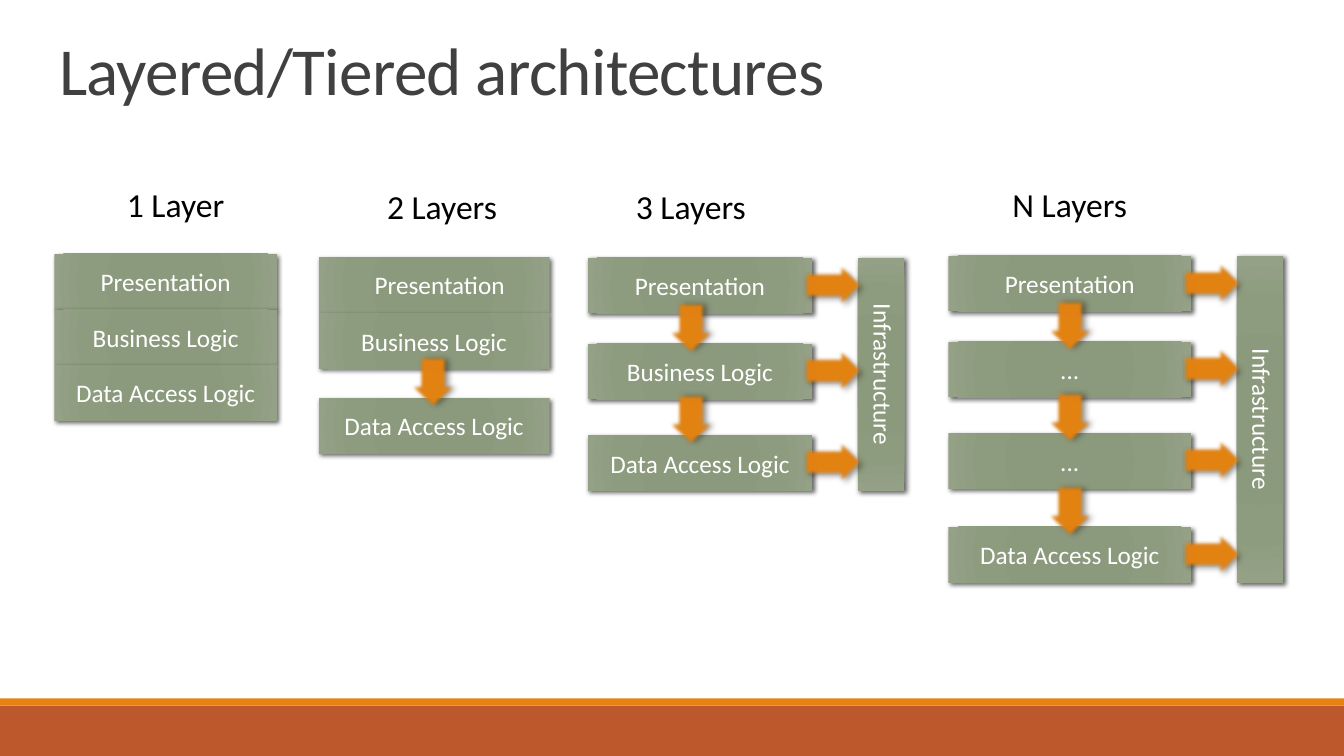
from dataclasses import dataclass

from lxml import etree
from pptx import Presentation
from pptx.dml.color import RGBColor
from pptx.enum.shapes import MSO_SHAPE
from pptx.enum.text import MSO_ANCHOR, PP_ALIGN
from pptx.oxml import parse_xml
from pptx.oxml.ns import nsdecls, qn
from pptx.shapes.autoshape import Shape
from pptx.slide import Slide
from pptx.util import Cm, Pt

RECT = MSO_SHAPE.RECTANGLE
BOX = MSO_SHAPE.FLOWCHART_PROCESS
DOWN = MSO_SHAPE.DOWN_ARROW
RIGHT = MSO_SHAPE.RIGHT_ARROW
CENTER = PP_ALIGN.CENTER
LEFT = PP_ALIGN.LEFT
MIDDLE = MSO_ANCHOR.MIDDLE
TOP = MSO_ANCHOR.TOP
BOTTOM = MSO_ANCHOR.BOTTOM

HUES = {
    "band": "BD582C", "strip": "E48312", "edge": "A9610D", "title": "404040",
    "head": "000000", "label": "FFFFFF", "shade": "000000",
}
STOPS = {0: "8A987B", 34: "8B997D", 70: "8D9C7E", 100: "94A187"}
FORMS = {
    "title": {"size": Pt(48), "name": "Calibri"},
    "head": {"size": Pt(24), "name": "Calibri"},
    "label": {"size": Pt(18), "name": "Calibri"},
}
HIGH = 1.4
PAD = 0.25


@dataclass(frozen=True)
class Area:
    left: float
    top: float
    width: float
    height: float


@dataclass(frozen=True)
class Shadow:
    alpha: int
    blur: float
    dist: float
    angle: int
    soft: float = 0


@dataclass(frozen=True)
class Layer:
    text: str
    top: float
    pad: float = PAD


@dataclass(frozen=True)
class Column:
    head: str
    place: Area
    left: float
    width: float
    layers: tuple[Layer, ...]
    down: float = 0
    bar: bool = False


SHADOWS = {
    "box": Shadow(60, 3.5, 2, 45),
    "down": Shadow(40, 4, 3, 0, 2.5),
    "right": Shadow(40, 4, 3, 45, 2.5),
}
FIRST, MID, LAST = "Presentation", "Business Logic", "Data Access Logic"
COLUMNS = (
    Column("1 Layer", Area(0.36, 4.52, 8.13, 1.27), 1.37, 5.61,
           (Layer(FIRST, 6.4), Layer(MID, 7.8), Layer(LAST, 9.2))),
    Column("2 Layers", Area(8.08, 4.57, 6.12, 1.27), 8.03, 5.82,
           (Layer(FIRST, 6.48, 0.53), Layer(MID, 7.9), Layer(LAST, 10.03)), 10.16),
    Column("3 Layers", Area(14.35, 4.57, 6.12, 1.27), 14.81, 5.66,
           (Layer(FIRST, 6.5), Layer(MID, 8.66), Layer(LAST, 10.97)), 16.66, True),
    Column("N Layers", Area(23.9, 4.52, 6.12, 1.27), 23.9, 6.12,
           (Layer(FIRST, 6.45), Layer("...", 8.61), Layer("...", 10.92),
            Layer(LAST, 13.28)), 26.21, True),
)


def span(area: Area) -> tuple[Cm, Cm, Cm, Cm]:
    return Cm(area.left), Cm(area.top), Cm(area.width), Cm(area.height)


def write(shape: Shape, text: str, kind: str, align: PP_ALIGN, anchor: MSO_ANCHOR,
          pad: float = PAD) -> None:
    frame = shape.text_frame
    for key, value in {"word_wrap": True, "vertical_anchor": anchor,
                       "margin_left": Cm(pad)}.items():
        setattr(frame, key, value)
    part = frame.paragraphs[0]
    part.alignment = align
    run = part.add_run()
    run.text = text
    for key, value in FORMS[kind].items():
        setattr(run.font, key, value)
    run.font.color.rgb = RGBColor.from_string(HUES[kind])


def draw(slide: Slide, kind: MSO_SHAPE, area: Area, hue: str) -> Shape:
    shape = slide.shapes.add_shape(kind, *span(area))
    shape.shadow.inherit = False
    shape.fill.solid()
    shape.fill.fore_color.rgb = RGBColor.from_string(HUES[hue])
    shape.line.fill.background()
    return shape


def shade(shape: Shape, look: Shadow) -> None:
    effects = shape._element.spPr.find(qn("a:effectLst"))
    outer = etree.SubElement(
        effects, qn("a:outerShdw"), blurRad=str(Pt(look.blur)),
        dist=str(Pt(look.dist)), dir=str(look.angle * 60000), rotWithShape="0")
    color = etree.SubElement(outer, qn("a:srgbClr"), val=HUES["shade"])
    etree.SubElement(color, qn("a:alpha"), val=str(look.alpha * 1000))
    if look.soft:
        etree.SubElement(effects, qn("a:softEdge"), rad=str(Pt(look.soft)))


def blend(shape: Shape) -> None:
    stops = "".join(f'<a:gs pos="{spot * 1000}"><a:srgbClr val="{hue}"/></a:gs>'
                    for spot, hue in STOPS.items())
    sides = " ".join(f'{side}="100000"' for side in "ltrb")
    fill = parse_xml(
        f'<a:gradFill {nsdecls("a")} rotWithShape="1"><a:gsLst>{stops}</a:gsLst>'
        f'<a:path path="circle"><a:fillToRect {sides}/></a:path></a:gradFill>')
    props = shape._element.spPr
    props.replace(props.find(qn("a:solidFill")), fill)


def block(slide: Slide, area: Area, text: str, pad: float = PAD) -> Shape:
    shape = draw(slide, BOX, area, "band")
    blend(shape)
    shade(shape, SHADOWS["box"])
    write(shape, text, "label", CENTER, MIDDLE, pad)
    return shape


def label(slide: Slide, area: Area, text: str, kind: str, align: PP_ALIGN,
          anchor: MSO_ANCHOR) -> Shape:
    shape = slide.shapes.add_textbox(*span(area))
    write(shape, text, kind, align, anchor)
    return shape


def stack(slide: Slide, col: Column) -> None:
    label(slide, col.place, col.head, "head", CENTER, TOP)
    for layer in col.layers:
        block(slide, Area(col.left, layer.top, col.width, HIGH), layer.text, layer.pad)
    for upper, lower in zip(col.layers, col.layers[1:]):
        if lower.top - upper.top > HIGH + 0.1:
            arrow = draw(slide, DOWN, Area(col.down, lower.top - 1.06, 1.5, HIGH), "strip")
            shade(arrow, SHADOWS["down"])
    if not col.bar:
        return
    end = col.left + col.width
    start = col.layers[0].top
    tall = col.layers[-1].top + HIGH - start
    bar = block(slide, Area(end + 1.15, start, 1.17, tall), "Infrastructure")
    bar.text_frame._txBody.bodyPr.set("vert", "vert")
    for layer in col.layers:
        arrow = draw(slide, RIGHT, Area(end - 0.2, layer.top + 0.03, 1.52, 1.3), "strip")
        arrow.line.color.rgb = RGBColor.from_string(HUES["edge"])
        arrow.line.width = Pt(1.25)
        shade(arrow, SHADOWS["right"])


def main() -> None:
    deck = Presentation()
    deck.slide_width, deck.slide_height = Cm(33.87), Cm(19.05)
    slide = deck.slides.add_slide(deck.slide_layouts[6])
    draw(slide, RECT, Area(0, 17.78, 33.87, 1.27), "band")
    draw(slide, RECT, Area(0, 17.6, 33.87, 0.18), "strip")
    title = label(slide, Area(1.24, 0.08, 30.25, 2.79), "Layered/Tiered architectures",
                  "title", LEFT, BOTTOM)
    line = title.text_frame.paragraphs[0]
    line.line_spacing = 0.85
    line.runs[0].font._element.set("spc", "-50")
    for col in COLUMNS:
        stack(slide, col)
    deck.save("out.pptx")


if __name__ == "__main__":
    main()
